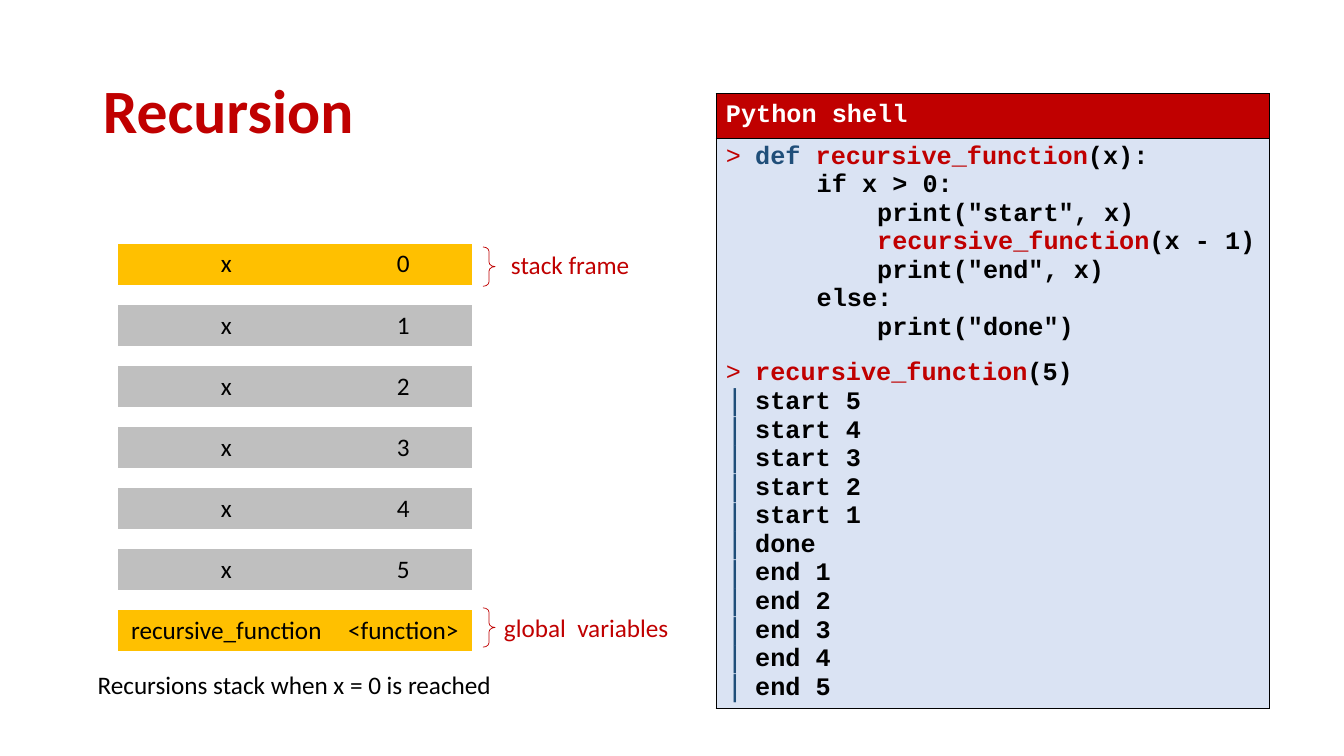
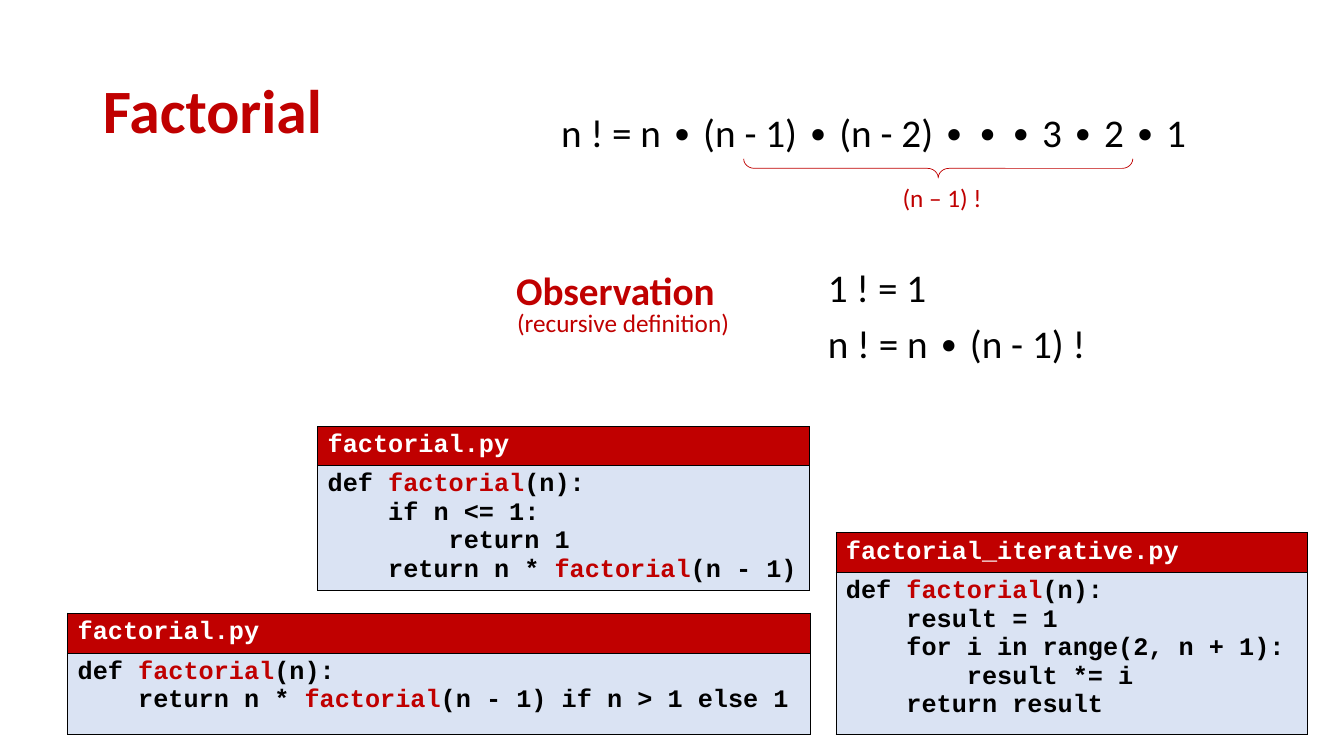
from lxml.etree import SubElement
from pptx import Presentation
from pptx.dml.color import RGBColor
from pptx.enum.shapes import MSO_SHAPE
from pptx.enum.text import MSO_ANCHOR as Anchor, PP_ALIGN as Align
from pptx.oxml.ns import qn
from pptx.util import Inches, Pt

RED, BLUE, BLACK, WHITE = "C00000", "1F4E79", "000000", "FFFFFF"
CODE_FILL, ACTIVE_FILL, WAITING_FILL = "DAE3F3", "FFC000", "BFBFBF"
SANS, MONO = "Calibri", "Courier New"
NO_STYLE = "{2D5ABB26-0587-4C30-8999-92F81FD0307C}"
PROMPT_INDENT = Inches(0.29)

rgb = RGBColor.from_string


def write(paragraph, text, size=18, color=BLACK, bold=False, font=SANS, accents=None):
    """Append text to the paragraph, giving each word in accents its own colour."""
    accents = accents or {}
    for word in accents:
        text = text.replace(word, f"\n{word}\n")
    for piece in filter(None, text.split("\n")):
        run = paragraph.add_run()
        run.text = piece
        run.font.name = font
        run.font.size = Pt(size)
        run.font.bold = bold
        run.font.color.rgb = rgb(accents.get(piece, color))


def add_plain_table(slide, left, top, widths, heights):
    """Add a table without style, with the given column widths and row heights."""
    table = slide.shapes.add_table(
        len(heights), len(widths), Inches(left), Inches(top),
        Inches(sum(widths)), Inches(sum(heights))).table
    table.first_row = table.horz_banding = False
    table._tbl.tblPr.find(qn("a:tableStyleId")).text = NO_STYLE
    for column, width in zip(table.columns, widths):
        column.width = Inches(width)
    for row, height in zip(table.rows, heights):
        row.height = Inches(height)
    return table


presentation = Presentation()
presentation.slide_width = Inches(13.33)
presentation.slide_height = Inches(7.5)

# Slides and titles
slides = []
for title_text, layout_name in (("Recursion", "Title Only"), ("Factorial", "Title and Content")):
    layout = presentation.slide_layouts.get_by_name(layout_name)
    slide = presentation.slides.add_slide(layout)
    title = slide.shapes.title
    title.left, title.top = Inches(0.92), Inches(0.4)
    title.width, title.height = Inches(11.5), Inches(1.45)
    title.text_frame.vertical_anchor = Anchor.MIDDLE
    paragraph = title.text_frame.paragraphs[0]
    paragraph.alignment = Align.LEFT
    paragraph.line_spacing = 0.9
    write(paragraph, title_text, size=44, color=RED, bold=True)
    slides.append(slide)
recursion, factorial = slides

# Formulas: the last two stand indented beside their heading
body = factorial.placeholders[1]
body.left, body.top = Inches(5.02), Inches(1.08)
body.width, body.height = Inches(7.29), Inches(2.87)
formulas = (
    ("n ! = n ∙ (n - 1) ∙ (n - 2) ∙ ∙ ∙ 3 ∙ 2 ∙ 1", Align.CENTER, 0, 0),
    ("1 ! = 1", Align.LEFT, 3.09, 80),
    ("n ! = n ∙ (n - 1) !", Align.LEFT, 3.09, 10),
)
for index, (formula, alignment, indent, space_before) in enumerate(formulas):
    frame = body.text_frame
    paragraph = frame.add_paragraph() if index else frame.paragraphs[0]
    paragraph.alignment = alignment
    paragraph.line_spacing = 0.9
    paragraph.space_before = Pt(space_before)
    properties = paragraph._p.get_or_add_pPr()
    properties.set("marL", str(Inches(indent)))
    properties.set("indent", "0")
    SubElement(properties, qn("a:buNone"))
    write(paragraph, formula, size=28)

# Code listings: each line is (bullet, text)
shell_lines = [
    (">", "def recursive_function(x):"),
    ("", "      if x > 0:"),
    ("", "          print(\"start\", x)"),
    ("", "          recursive_function(x - 1)"),
    ("", "          print(\"end\", x)"),
    ("", "      else:"),
    ("", "          print(\"done\")"),
    (">", "recursive_function(5)"),
]
shell_lines += [("|", f"start {x}") for x in range(5, 0, -1)]
shell_lines += [("|", "done")]
shell_lines += [("|", f"end {x}") for x in range(1, 6)]

recursive_lines = [
    ("", "def factorial(n):"),
    ("", "    if n <= 1:"),
    ("", "        return 1"),
    ("", "    return n * factorial(n - 1)"),
]
iterative_lines = [
    ("", "def factorial(n):"),
    ("", "    result = 1"),
    ("", "    for i in range(2, n + 1):"),
    ("", "        result *= i"),
    ("", "    return result"),
]
conditional_lines = [
    ("", "def factorial(n):"),
    ("", "    return n * factorial(n - 1) if n > 1 else 1"),
]
shell_accents = {"def ": BLUE, "recursive_function": RED}
file_accents = {"factorial": RED}
bullet_styles = {">": (RED, 100), "|": (BLUE, 120)}

listings = (
    (recursion, 7.1, 0.93, 5.49, (0.44, 5.65), "Python shell", shell_lines, shell_accents),
    (factorial, 3.15, 4.23, 4.88, (0.39, 1.23), "factorial.py", recursive_lines, file_accents),
    (factorial, 8.29, 5.28, 4.68, (0.4, 1.6), "factorial_iterative.py", iterative_lines, file_accents),
    (factorial, 0.67, 6.08, 7.37, (0.4, 0.8), "factorial.py", conditional_lines, file_accents),
)
for slide, left, top, width, heights, name, lines, accents in listings:
    table = add_plain_table(slide, left, top, [width], heights)
    header, code = table.cell(0, 0), table.cell(1, 0)
    for cell, fill in ((header, RED), (code, CODE_FILL)):
        for side in ("a:lnL", "a:lnR", "a:lnT", "a:lnB"):
            border = SubElement(cell._tc.get_or_add_tcPr(), qn(side), w=str(Pt(0.5)))
            border_fill = SubElement(border, qn("a:solidFill"))
            SubElement(border_fill, qn("a:srgbClr"), val=BLACK)
        cell.fill.solid()
        cell.fill.fore_color.rgb = rgb(fill)
    header.vertical_anchor = Anchor.MIDDLE
    write(header.text_frame.paragraphs[0], name, color=WHITE, bold=True, font=MONO)

    for index, (bullet, line) in enumerate(lines):
        frame = code.text_frame
        paragraph = frame.add_paragraph() if index else frame.paragraphs[0]
        if bullet:
            if bullet == ">" and index:
                paragraph.space_before = Pt(12)
            bullet_color, bullet_size = bullet_styles[bullet]
            properties = paragraph._p.get_or_add_pPr()
            properties.set("marL", str(PROMPT_INDENT))
            properties.set("indent", str(-PROMPT_INDENT))
            color_element = SubElement(properties, qn("a:buClr"))
            SubElement(color_element, qn("a:srgbClr"), val=bullet_color)
            SubElement(properties, qn("a:buSzPct"), val=str(bullet_size * 1000))
            SubElement(properties, qn("a:buFont"), typeface=MONO)
            SubElement(properties, qn("a:buChar"), char=bullet)
        write(paragraph, line, bold=True, font=MONO, accents=accents)

# Stack frames, with an empty row between each two
frames = [("x", str(x)) for x in range(6)] + [("recursive_function", "<function>")]
row_heights = [0.2 if row % 2 else 0.4 for row in range(2 * len(frames) - 1)]
stack = add_plain_table(recursion, 1.17, 2.42, [2.15, 1.36], row_heights)
for row in range(len(row_heights)):
    for column in range(2):
        cell = stack.cell(row, column)
        paragraph = cell.text_frame.paragraphs[0]
        if row % 2:
            cell.margin_top = cell.margin_bottom = 0
            SubElement(paragraph._p, qn("a:endParaRPr"), sz="800")
            continue
        cell.fill.solid()
        is_active = row in (0, len(row_heights) - 1)
        cell.fill.fore_color.rgb = rgb(ACTIVE_FILL if is_active else WAITING_FILL)
        paragraph.alignment = Align.CENTER
        write(paragraph, frames[row // 2][column])

# Braces
braces = (
    (recursion, 4.79, 2.45, 0.12, 0.39, 0, 0.37),
    (recursion, 4.79, 6.03, 0.12, 0.39, 0, 0.37),
    (factorial, 9.21, -0.26, 0.19, 3.86, 90, 0.56),
)
for slide, left, top, width, height, rotation, curve in braces:
    brace = slide.shapes.add_shape(
        MSO_SHAPE.RIGHT_BRACE, Inches(left), Inches(top), Inches(width), Inches(height))
    brace.rotation = rotation
    brace.adjustments[0] = curve
    brace.shadow.inherit = False
    brace.fill.background()
    brace.line.color.rgb = rgb(RED)
    brace.line.width = Pt(0.5)

# Labels
red_label = {"color": RED}
heading = {"color": RED, "size": 28, "bold": True}
labels = (
    (recursion, 4.97, 2.42, 1.57, 0.4, "stack frame", Align.LEFT, red_label),
    (recursion, 4.9, 6.03, 1.94, 0.4, "global  variables", Align.LEFT, red_label),
    (recursion, 0.74, 6.59, 4.36, 0.4, "Recursions stack when x = 0 is reached", Align.CENTER, {}),
    (factorial, 8.66, 1.76, 1.37, 0.4, "(n – 1) !", Align.CENTER, red_label),
    (factorial, 5.02, 2.59, 2.5, 0.57, "Observation", Align.LEFT, heading),
    (factorial, 5.03, 3, 2.44, 0.4, "(recursive definition)", Align.LEFT, red_label),
)
for slide, left, top, width, height, text, alignment, text_format in labels:
    label = slide.shapes.add_textbox(Inches(left), Inches(top), Inches(width), Inches(height))
    label.text_frame.word_wrap = True
    paragraph = label.text_frame.paragraphs[0]
    paragraph.alignment = alignment
    write(paragraph, text, **text_format)

presentation.save("out.pptx")
